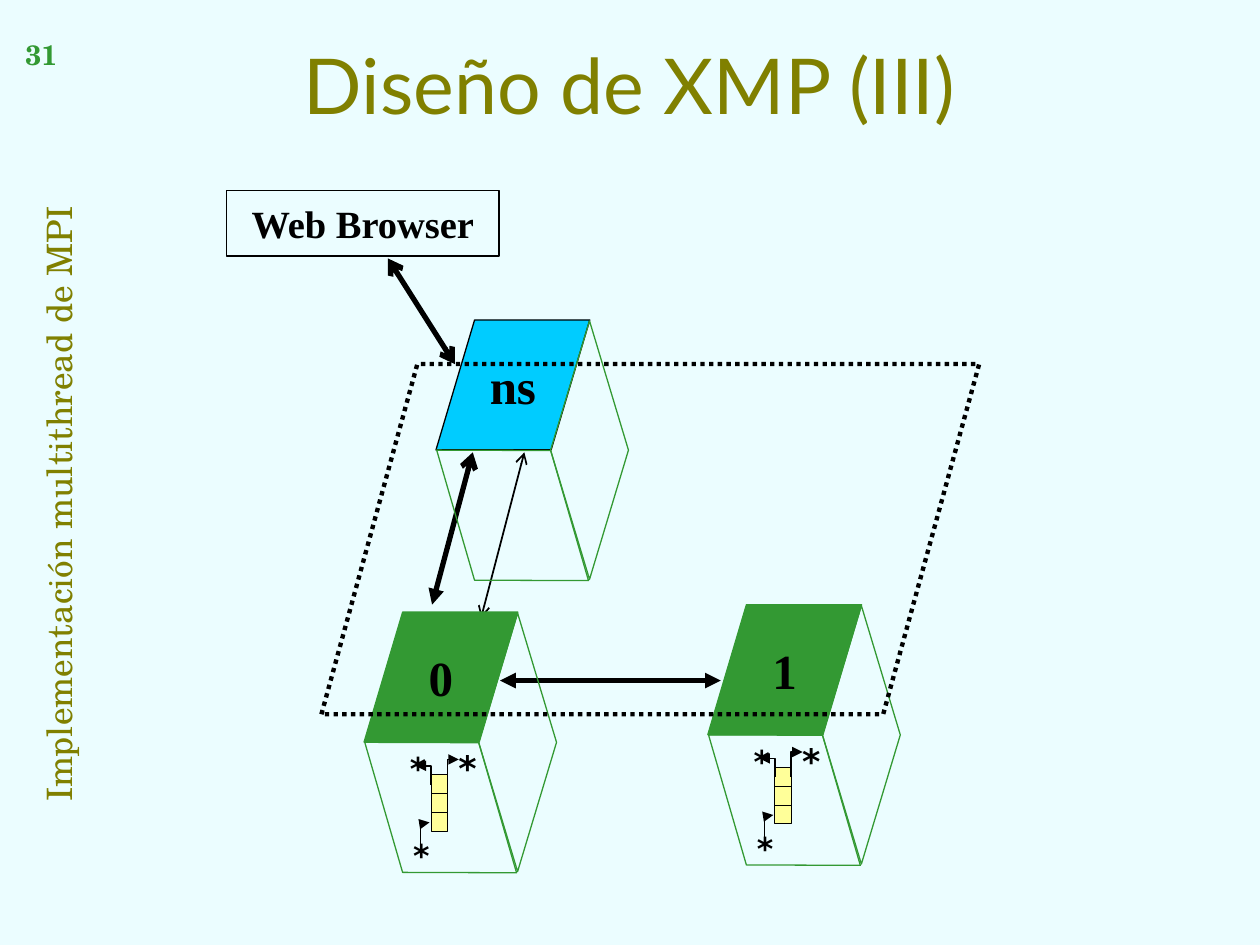
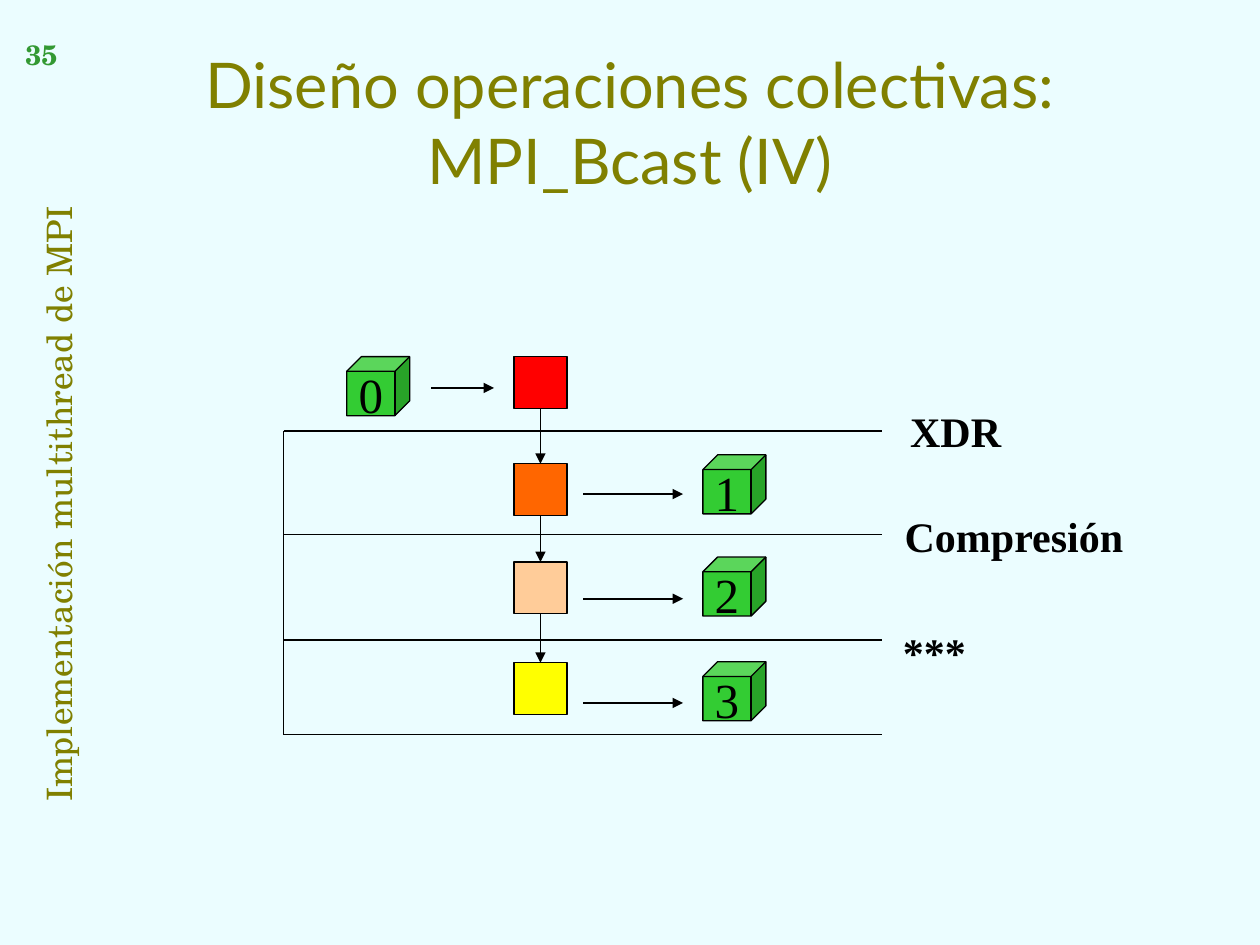
import itertools

import lxml.etree
import pptx
import pptx.dml.color
import pptx.enum.dml
import pptx.enum.shapes
import pptx.enum.text
import pptx.oxml.ns
import pptx.util

Cm = pptx.util.Cm
SHAPE = pptx.enum.shapes.MSO_SHAPE
ALIGN = pptx.enum.text.PP_ALIGN
ANCHOR = pptx.enum.text.MSO_ANCHOR
TOP, BOTTOM = 0, 2

PAPER = "EBFDFF"
OLIVE = "808000"
GREEN = "339933"
BLACK = "000000"
SERIF = "Times New Roman"
SCHOLA = "TeX Gyre Schola"


def rgb(code):
    return pptx.dml.color.RGBColor.from_string(code)


def write(frame, text, size=28, font=SERIF, color=BLACK, bold=False,
          anchor=ANCHOR.MIDDLE, wrap=True):
    frame.auto_size = pptx.enum.text.MSO_AUTO_SIZE.NONE
    frame.word_wrap = wrap
    frame.vertical_anchor = anchor
    paragraph = frame.paragraphs[0]
    paragraph.alignment = ALIGN.CENTER
    run = paragraph.add_run()
    run.text = text
    run.font.size = pptx.util.Pt(size)
    run.font.name = font
    run.font.bold = bold
    run.font.color.rgb = rgb(color)


def add_ends(properties, head, tail):
    outline = properties.find(pptx.oxml.ns.qn("a:ln"))
    for tag, kind in (("a:headEnd", head), ("a:tailEnd", tail)):
        if kind:
            end = lxml.etree.SubElement(outline, pptx.oxml.ns.qn(tag))
            end.set("type", kind)


class Deck:
    def __init__(self):
        self.presentation = pptx.Presentation()
        self.presentation.slide_width = Cm(25.4)
        self.presentation.slide_height = Cm(19.05)
        paper = self.presentation.slide_master.background.fill
        paper.solid()
        paper.fore_color.rgb = rgb(PAPER)
        self.slide = None

    def start_slide(self, number, title, size, top, height):
        layout = self.presentation.slide_layouts.get_by_name("Title Only")
        self.slide = self.presentation.slides.add_slide(layout)
        self.label("Implementación multithread de MPI", -6.88, 9.83, 15.67, 0.64,
                   rotation=270, size=20, font=SCHOLA, color=OLIVE, wrap=False)
        heading = self.slide.shapes.title
        heading.left, heading.top = Cm(1.9), Cm(top)
        heading.width, heading.height = Cm(21.59), Cm(height)
        write(heading.text_frame, title, size=size, font="Lato", color=OLIVE)
        self.label(number, 0.2, 0.64, 1.27, 1.9,
                   size=16, font=SCHOLA, color=GREEN, bold=True)

    def label(self, text, left, top, width, height, rotation=0, **style):
        box = self.slide.shapes.add_textbox(Cm(left), Cm(top), Cm(width), Cm(height))
        box.rotation = rotation
        write(box.text_frame, text, anchor=ANCHOR.TOP, **style)

    def stroke(self, line, color, weight):
        line.color.rgb = rgb(color)
        line.width = pptx.util.Pt(weight)

    def block(self, kind, left, top, width, height, fill=None, line=BLACK,
              weight=0.75, slant=None, text=None, **style):
        shape = self.slide.shapes.add_shape(
            kind, Cm(left), Cm(top), Cm(width), Cm(height))
        shape.shadow.inherit = False
        if fill:
            shape.fill.solid()
            shape.fill.fore_color.rgb = rgb(fill)
        else:
            shape.fill.background()
        self.stroke(shape.line, line, weight)
        if slant is not None:
            shape.adjustments[0] = slant
        if text:
            write(shape.text_frame, text, wrap=False, **style)
        return shape

    def line(self, start, finish, weight=0.75, head=None, tail=None):
        connector = self.slide.shapes.add_connector(
            pptx.enum.shapes.MSO_CONNECTOR.STRAIGHT,
            *(Cm(value) for value in start + finish))
        self.stroke(connector.line, BLACK, weight)
        properties = connector.element.spPr
        add_ends(properties, head, tail)
        lxml.etree.SubElement(properties, pptx.oxml.ns.qn("a:effectLst"))
        return connector

    def bent_arrow(self, points):
        start, *rest = [(Cm(x), Cm(y)) for x, y in points]
        builder = self.slide.shapes.build_freeform(*start)
        builder.add_line_segments(rest, close=False)
        arrow = builder.convert_to_shape()
        arrow.shadow.inherit = False
        arrow.fill.background()
        self.stroke(arrow.line, BLACK, 1)
        add_ends(arrow.element.spPr, "triangle", None)

    def prism(self, name, left, top, fill=GREEN, edge=GREEN):
        self.block(SHAPE.PARALLELOGRAM, left, top, 3.1, 2.62, fill=fill, line=edge,
                   slant=0.297, text=name, bold=True)
        front = self.block(SHAPE.PARALLELOGRAM, left + 0.01, top + 2.63, 3.07, 2.62,
                           line=GREEN, slant=0.295)
        front.element.spPr.find(pptx.oxml.ns.qn("a:xfrm")).set("flipH", "1")
        front.rotation = 0.2
        self.block(SHAPE.DIAMOND, left + 2.31, top + 0.02, 1.57, 5.21, line=GREEN)

    def queue(self, left, top):
        for row in range(3):
            self.block(SHAPE.RECTANGLE, left + 1.35, top + 3.28 + 0.38 * row,
                       0.33, 0.38, fill="FFFF99", weight=0.5)
        for x, y, width, height, size in ((1.45, 2.59, 1.27, 1.12, 20),
                                          (0.43, 2.64, 1.32, 1.02, 18),
                                          (0.43, 4.39, 1.45, 1.02, 18)):
            self.label("*", left + x, top + y, width, height,
                       size=size, font="DejaVu Sans", bold=True)
        for (tip_x, tip_y), (end_x, end_y), corner_x in (
                ((1.04, 3.1), (1.35, 3.48), 1.35),
                ((1.32, 4.24), (1.14, 4.75), 1.14),
                ((1.91, 2.97), (1.68, 3.48), 1.68)):
            self.bent_arrow([(left + tip_x, top + tip_y),
                             (left + corner_x, top + tip_y),
                             (left + end_x, top + end_y)])


def draw_xmp_design(deck):
    deck.start_slide("31", "Diseño de XMP (III)", 44, 0.2, 2.97)
    deck.line((9.17, 7.34), (7.82, 5.21), 3, "arrow", "arrow")
    deck.line((9.7, 12.45), (10.57, 9.12), 1, "arrow", "arrow")
    deck.line((8.71, 12.19), (9.53, 9.12), 3, "triangle", "arrow")
    deck.line((10.08, 13.72), (14.53, 13.72), 3, "triangle", "triangle")
    for name, left, top in (("1", 14.27, 12.19), ("0", 7.34, 12.34)):
        deck.prism(name, left, top)
        deck.queue(left, top)
    deck.prism("ns", 8.79, 6.45, fill="00CCFF", edge=BLACK)
    machine = deck.block(SHAPE.PARALLELOGRAM, 6.48, 7.34, 13.26, 7.06,
                         weight=2.5, slant=0.274)
    machine.line.dash_style = pptx.enum.dml.MSO_LINE.ROUND_DOT
    deck.block(SHAPE.RECTANGLE, 4.57, 3.84, 5.49, 1.32,
               text="Web Browser", size=22, bold=True)


def draw_bcast(deck):
    deck.start_slide("35", "Diseño operaciones colectivas: MPI_Bcast (IV)",
                     36, 0.64, 3.61)
    for stage, left, top, width in (("Compresión", 17.58, 10.16, 5.72),
                                    ("XDR", 16.94, 8.05, 4.65),
                                    ("***", 16.51, 12.5, 4.65)):
        deck.label(stage, left, top, width, 1.27, size=24, bold=True)

    levels = (8.69, 10.77, 12.9, 14.81)
    for level in levels:
        deck.line((5.72, level), (17.78, level))
    deck.line((5.72, levels[0]), (5.72, levels[-1]))

    for process, (left, top) in enumerate(((6.99, 7.19), (14.17, 9.17),
                                           (14.17, 11.23), (14.17, 13.34))):
        deck.block(SHAPE.CUBE, left, top, 1.27, 1.19, fill="33CC33",
                   slant=0.25, text=str(process))

    buffers = [deck.block(SHAPE.RECTANGLE, 10.36, top, 1.07, 1.04, fill=fill)
               for top, fill in ((7.19, "FF0000"), (9.35, "FF6600"),
                                 (11.33, "FFCC99"), (13.36, "FFFF00"))]
    for source, result in itertools.pairwise(buffers):
        step = deck.line((10.9, 8.23), (10.9, 9.35), 1, tail="triangle")
        step.begin_connect(source, BOTTOM)
        step.end_connect(result, TOP)

    for start, finish, y in ((8.69, 9.96, 7.82), (11.76, 13.77, 9.96),
                             (11.76, 13.77, 12.07), (11.76, 13.77, 14.17)):
        deck.line((start, y), (finish, y), 1, tail="triangle")


def main():
    deck = Deck()
    draw_xmp_design(deck)
    draw_bcast(deck)
    deck.presentation.save("out.pptx")


if __name__ == "__main__":
    main()
